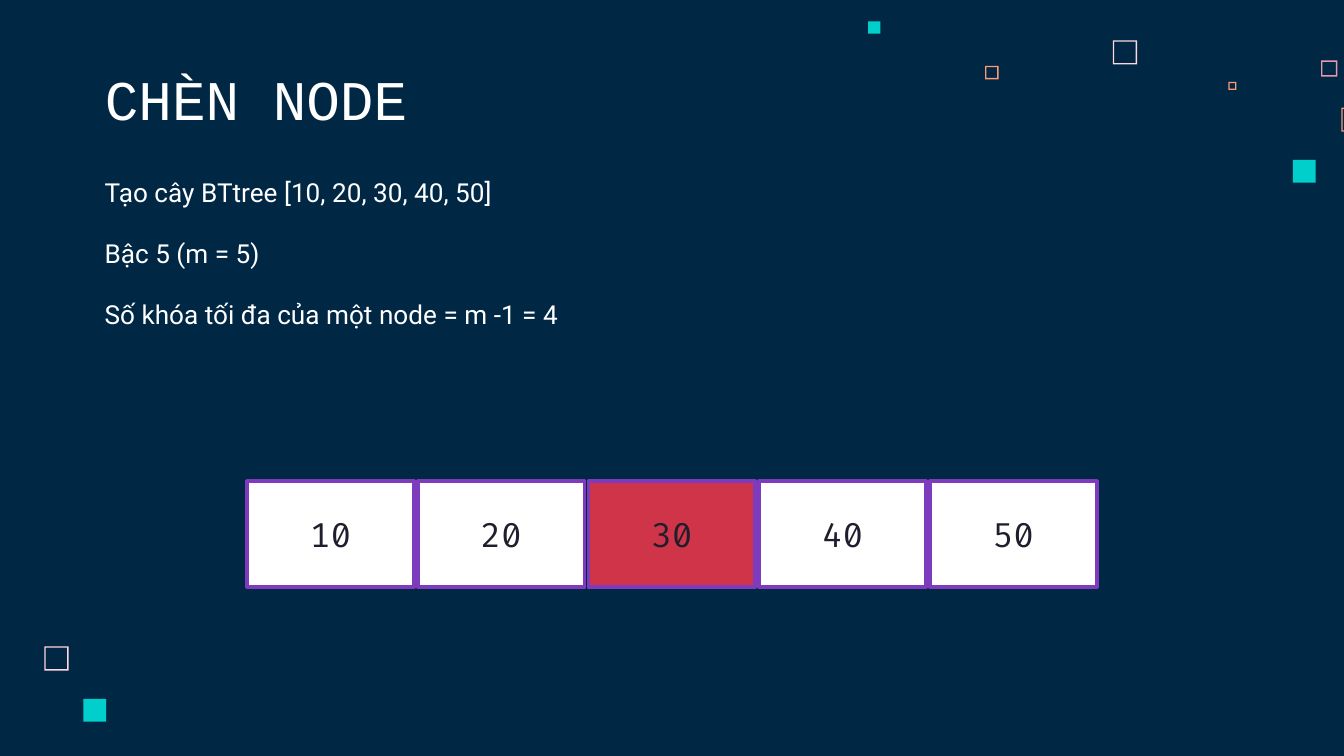
from pptx import Presentation
from pptx.dml.color import RGBColor
from pptx.enum import shapes, text
from pptx.util import Inches, Pt

NAVY = RGBColor(0x00, 0x28, 0x45)
WHITE = RGBColor(0xFF, 0xFF, 0xFF)
INK = RGBColor(0x1E, 0x1E, 0x2C)
RED = RGBColor(0xD0, 0x34, 0x49)
PURPLE = RGBColor(0x7E, 0x3B, 0xBE)
TEAL = RGBColor(0x00, 0xCF, 0xCC)
ORANGE = RGBColor(0xFF, 0x99, 0x73)
PINK = RGBColor(0xFF, 0xD6, 0xE1)
ROSE = RGBColor(0xE8, 0x98, 0xAC)

# Decorative squares: left, top, side, colour, border (None = solid)
SQUARES = [
    (8.28, 0.3, 0.18, PINK, 0.01),
    (9.83, 0.45, 0.12, ROSE, 0.01),
    (9.14, 0.61, 0.06, ORANGE, 0.01),
    (9.98, 0.8, 0.18, ORANGE, 0.01),
    (9.62, 1.19, 0.17, TEAL, None),
    (7.33, 0.49, 0.1, ORANGE, 0.01),
    (6.46, 0.16, 0.09, TEAL, None),
    (0.33, 4.81, 0.18, PINK, 0.01),
    (0.62, 5.2, 0.17, TEAL, None),
]
FACTS = [
    "Tạo cây BTtree [10, 20, 30, 40, 50]",
    "Bậc 5 (m = 5)",
    "Số khóa tối đa của một node = m -1 = 4",
]
KEYS = [10, 20, 30, 40, 50]
MIDDLE_KEY = 30


def add_square(slide, left, top, side, color, border):
    kind = shapes.MSO_SHAPE.FRAME if border else shapes.MSO_SHAPE.RECTANGLE
    sp = slide.shapes.add_shape(kind, Inches(left), Inches(top), Inches(side), Inches(side))
    if border:
        sp.adjustments[0] = border / side
    sp.shadow.inherit = False
    sp.fill.solid()
    sp.fill.fore_color.rgb = color
    sp.line.fill.background()


def style_frame(tf, anchor):
    tf.word_wrap = True
    tf.auto_size = text.MSO_AUTO_SIZE.NONE
    tf.vertical_anchor = anchor
    tf.margin_left = tf.margin_right = tf.margin_top = tf.margin_bottom = Inches(0.1)


def style_paragraph(p, size, name, color, align=text.PP_ALIGN.LEFT):
    p.alignment = align
    p.font.size = Pt(size)
    p.font.name = name
    p.font.color.rgb = color


def set_title(slide, left, top, width, height):
    title = slide.shapes.title
    title.left, title.top = Inches(left), Inches(top)
    title.width, title.height = Inches(width), Inches(height)
    title.text_frame.text = "CHÈN NODE"
    style_frame(title.text_frame, text.MSO_ANCHOR.BOTTOM)
    style_paragraph(title.text_frame.paragraphs[0], 30, "Courier New", WHITE)


def add_facts(slide, left, top, width, height):
    box = slide.shapes.add_textbox(Inches(left), Inches(top), Inches(width), Inches(height))
    tf = box.text_frame
    style_frame(tf, text.MSO_ANCHOR.TOP)
    tf.text = "\n".join(FACTS)
    for p in tf.paragraphs:
        style_paragraph(p, 14, "Roboto", WHITE)
        p.space_after = Pt(16)


def add_node(slide, left, top, width, height, gap=0.03):
    """One cell per key, with equal gaps across the box."""
    cell = (width - gap * (len(KEYS) - 1)) / len(KEYS)
    for i, key in enumerate(KEYS):
        sp = slide.shapes.add_shape(
            shapes.MSO_SHAPE.RECTANGLE,
            Inches(left + i * (cell + gap)), Inches(top), Inches(cell), Inches(height))
        sp.shadow.inherit = False
        sp.fill.solid()
        sp.fill.fore_color.rgb = RED if key == MIDDLE_KEY else WHITE
        sp.line.color.rgb = PURPLE
        sp.line.width = Pt(2)
        tf = sp.text_frame
        tf.text = str(key)
        tf.vertical_anchor = text.MSO_ANCHOR.MIDDLE
        style_paragraph(tf.paragraphs[0], 18, "Fira Code", INK, text.PP_ALIGN.CENTER)


def main():
    prs = Presentation()
    # Widescreen, 16:9
    prs.slide_width = Inches(10)
    prs.slide_height = prs.slide_width * 9 // 16
    slide = prs.slides.add_slide(prs.slide_layouts[5])
    slide.background.fill.solid()
    slide.background.fill.fore_color.rgb = NAVY

    # Decoration
    for square in SQUARES:
        add_square(slide, *square)

    # Title, facts and the overfull node
    set_title(slide, 0.68, 0.45, 5.17, 0.63)
    add_facts(slide, 0.68, 1.21, 3.78, 1.55)
    add_node(slide, 1.84, 3.58, 6.32, 0.79)

    prs.save("out.pptx")


if __name__ == "__main__":
    main()
